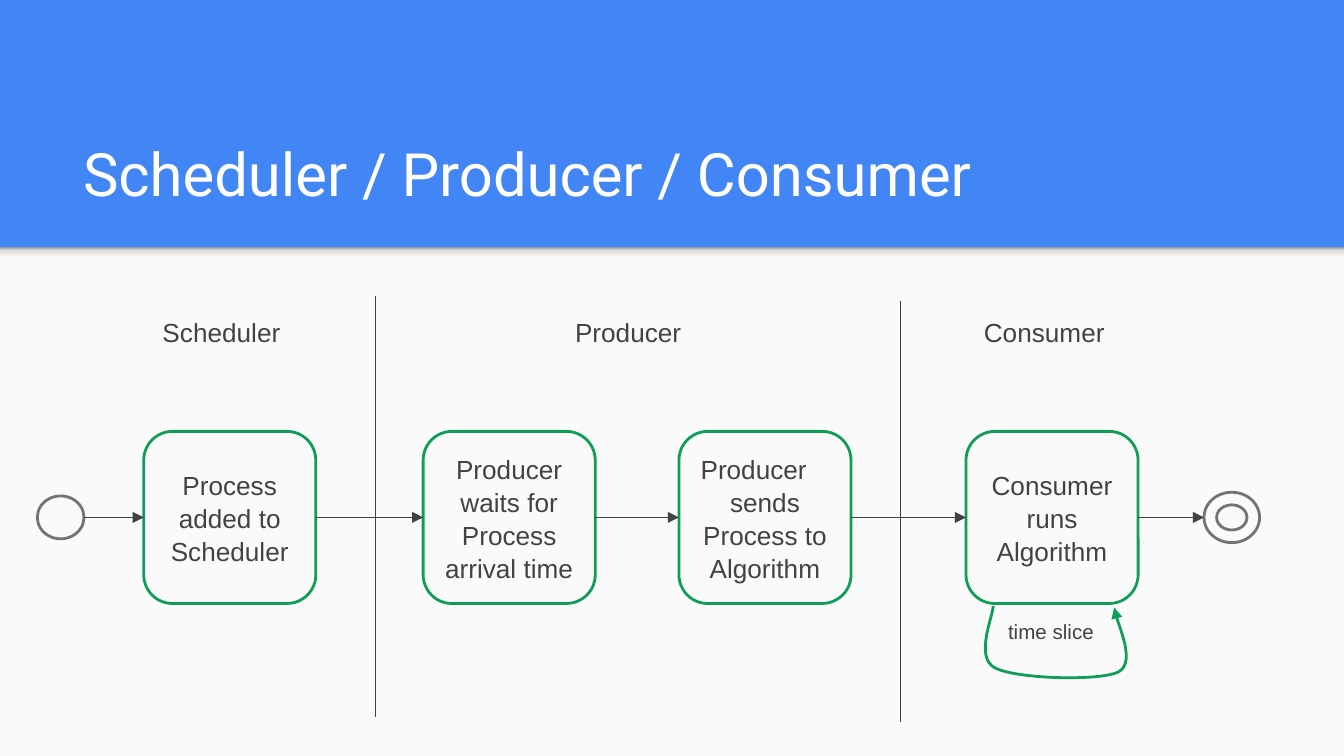
"""Build a slide with the scheduler, producer and consumer process flow."""
from copy import deepcopy

from lxml.etree import SubElement
from pptx import Presentation
from pptx.dml.color import RGBColor
from pptx.enum.shapes import MSO_CONNECTOR, MSO_SHAPE
from pptx.enum.text import MSO_ANCHOR, PP_ALIGN
from pptx.oxml.ns import qn
from pptx.util import Pt

COLORS = {
    "blue": "4285F4", "paper": "FAFAFA", "white": "FFFFFF", "text": "424242",
    "green": "0F9D58", "gray": "737373",
    "shadow_light": "F9F9F9", "shadow_mid": "DEDEDE", "shadow_dark": "999999",
}


def color(name):
    return RGBColor.from_string(COLORS[name])


def write(shape, lines, size, font="Arial", ink="text", anchor=MSO_ANCHOR.TOP, spacing=1.0):
    frame = shape.text_frame
    frame.word_wrap = True
    frame.vertical_anchor = anchor
    frame.margin_left = frame.margin_right = frame.margin_top = frame.margin_bottom = Pt(7.2)
    frame.text = "\n".join(text for text, _ in lines)
    for paragraph, (_, align) in zip(frame.paragraphs, lines):
        paragraph.alignment = align
        paragraph.line_spacing = spacing
        paragraph.font.size = Pt(size)
        paragraph.font.name = font
        paragraph.font.color.rgb = color(ink)


LEFT, CENTER = PP_ALIGN.LEFT, PP_ALIGN.CENTER

presentation = Presentation()
presentation.slide_width, presentation.slide_height = Pt(720), Pt(405)
slide = presentation.slides.add_slide(presentation.slide_layouts[6])
shapes = slide.shapes
slide.background.fill.solid()
slide.background.fill.fore_color.rgb = color("blue")

body = shapes.add_shape(MSO_SHAPE.RECTANGLE, 0, Pt(132.5), Pt(720), Pt(272.5))
body.shadow.inherit = False
body.fill.solid()
body.fill.fore_color.rgb = color("paper")
body.line.fill.background()

header_shadow = shapes.add_shape(MSO_SHAPE.RECTANGLE, 0, Pt(132.5), Pt(720), Pt(8.6))
header_shadow.shadow.inherit = False
header_shadow.line.fill.background()
header_shadow.fill.gradient()
header_shadow.fill.gradient_angle = 90
stop_list = header_shadow._element.spPr.find(qn("a:gradFill")).find(qn("a:gsLst"))
for stop in list(stop_list):
    stop_list.append(deepcopy(stop))
shadow_stops = [(0, "shadow_light"), (0.36, "shadow_light"), (0.8, "shadow_mid"), (1, "shadow_dark")]
for stop, (position, name) in zip(header_shadow.fill.gradient_stops, shadow_stops):
    stop.position = position
    stop.color.rgb = color(name)

title = shapes.add_textbox(Pt(37.4), Pt(58.3), Pt(647.3), Pt(60.5))
write(title, [("Scheduler / Producer / Consumer", LEFT)], 32, "Roboto", "white", MSO_ANCHOR.BOTTOM)

BOX, BOX_TOP = 92.2, 231.1
MIDDLE = BOX_TOP + BOX / 2
steps = [
    (77, [("Process added to Scheduler", CENTER)]),
    (226.7, [("Producer waits for Process arrival time", CENTER)]),
    (363.7, [("Producer", LEFT), ("sends Process to Algorithm", CENTER)]),
    (517.5, [("Consumer runs Algorithm", CENTER)]),
]
boxes = []
for left, lines in steps:
    box = shapes.add_shape(MSO_SHAPE.ROUNDED_RECTANGLE, Pt(left), Pt(BOX_TOP), Pt(BOX), Pt(BOX))
    box.adjustments[0] = 0.167
    box.shadow.inherit = False
    box.fill.background()
    box.line.color.rgb = color("green")
    box.line.width = Pt(1.5)
    write(box, lines, 14, anchor=MSO_ANCHOR.MIDDLE, spacing=1.05)
    boxes.append(box)

for left, width, text in [(80, 83.5, "Scheduler"), (301, 75, "Producer"), (520, 83.5, "Consumer")]:
    heading = shapes.add_textbox(Pt(left), Pt(161.3), Pt(width), Pt(36.7))
    write(heading, [(text, LEFT)], 14, spacing=1.05)

for kind, left, width, height in [(MSO_SHAPE.OVAL, 20, 25, 23), (MSO_SHAPE.DONUT, 645, 29.8, 27)]:
    state = shapes.add_shape(kind, Pt(left), Pt(MIDDLE - height / 2), Pt(width), Pt(height))
    state.shadow.inherit = False
    state.fill.background()
    state.line.color.rgb = color("gray")
    state.line.width = Pt(1.5)

START_X, END_X = 45, 645
dividers = [((201.1, 158.5), (201.1, 384)), ((482.4, 161.3), (482.4, 386.8))]
stations = [None, *boxes, None]
links = [(start, end, None, None) for start, end in dividers]
links += [((START_X, MIDDLE), (END_X, MIDDLE), *pair) for pair in zip(stations, stations[1:])]
for start, end, source, target in links:
    connector = shapes.add_connector(MSO_CONNECTOR.STRAIGHT, *map(Pt, start + end))
    connector.line.color.rgb = color("text")
    connector.line.width = Pt(0.75)
    if source:
        connector.begin_connect(source, 3)
    if target:
        connector.end_connect(target, 1)
    if source or target:
        SubElement(connector.line._get_or_add_ln(), qn("a:tailEnd"), type="triangle")
    SubElement(connector._element.spPr, qn("a:effectLst"))

curves = [
    [(532.1, 324.7), (532.1, 329.8), (522, 352.1), (533, 357.8)],
    [(533, 357.8), (544.3, 363.8), (589, 365), (599.2, 360)],
    [(599.2, 360), (609.8, 354.2), (596.9, 331.2), (596.9, 325.4)],
]
STEPS = 16
loop_points = []
for curve in curves:
    for step in range(1, STEPS + 1):
        t = step / STEPS
        weights = ((1 - t) ** 3, 3 * t * (1 - t) ** 2, 3 * t * t * (1 - t), t ** 3)
        loop_points.append(tuple(Pt(sum(w * v for w, v in zip(weights, axis))) for axis in zip(*curve)))
builder = shapes.build_freeform(*map(Pt, curves[0][0]))
builder.add_line_segments(loop_points, close=False)
loop = builder.convert_to_shape()
loop.shadow.inherit = False
loop.fill.background()
loop.line.color.rgb = color("green")
loop.line.width = Pt(1.5)
SubElement(loop.line._get_or_add_ln(), qn("a:tailEnd"), type="triangle")

loop_label = shapes.add_textbox(Pt(521.3), Pt(326.9), Pt(83.5), Pt(11.5))
write(loop_label, [("time slice", CENTER)], 11)

presentation.save("out.pptx")
